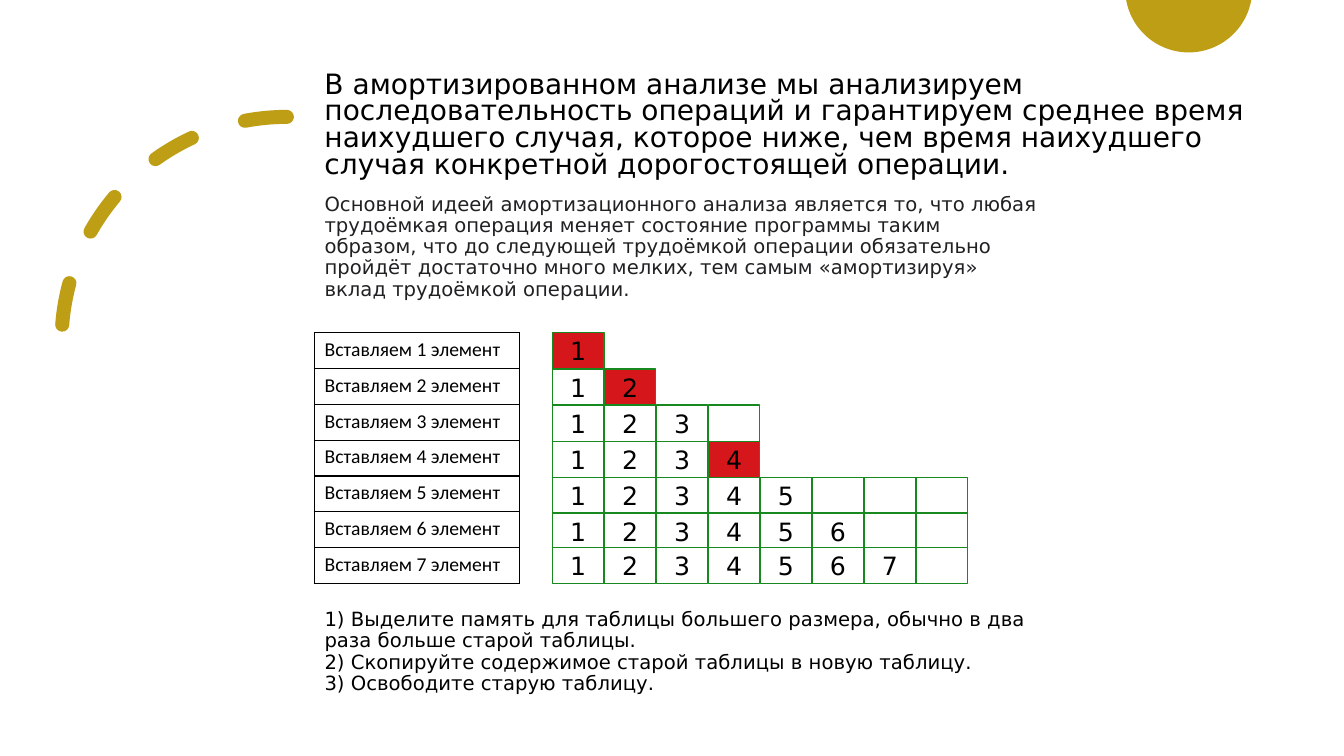
import math

import pptx
import pptx.dml.color
import pptx.enum.dml
import pptx.enum.shapes
import pptx.enum.text
import pptx.oxml
import pptx.oxml.ns
import pptx.util
from pptx.util import Inches

# Content
TITLE = ["В амортизированном анализе мы анализируем последовательность операций "
         "и гарантируем среднее время наихудшего случая, которое ниже, чем время "
         "наихудшего случая конкретной дорогостоящей операции."]
IDEA = ["Основной идеей амортизационного анализа является то, что любая трудоёмкая "
        "операция меняет состояние программы таким образом, что до следующей "
        "трудоёмкой операции обязательно пройдёт достаточно много мелких, тем самым "
        "«амортизируя» вклад трудоёмкой операции."]
STEPS = ["1) Выделите память для таблицы большего размера, обычно в два раза больше "
         "старой таблицы.",
         "2) Скопируйте содержимое старой таблицы в новую таблицу.",
         "3) Освободите старую таблицу."]
# Top of the row, capacity of the array, whether the last inserted element is costly
INSERTIONS = [
    (3.30, 1, True),
    (3.66, 2, True),
    (4.02, 4, False),
    (4.38, 4, True),
    (4.74, 8, False),
    (5.09, 8, False),
    (5.43, 8, False),
]

THEME = {
    "gold": "BE9E15", "black": "000000", "gray": "202122", "white": "FFFFFF",
    "red": "D5171B", "green": "18891F",
    "text font": "DejaVu Sans", "table font": "Calibri",
    "title size": 20, "body size": 14, "digit size": 18,
}

# Layout in inches
TEXT_LEFT, BODY_WIDTH, BODY_HEIGHT = 3.12, 7.28, 0.91
TABLE_WIDTH, TABLE_HEIGHT = 2.03, 2.49
ARRAY_LEFT, CELL_STEP, CELL_WIDTH, CELL_HEIGHT = 5.48, 0.515, 0.51, 0.36
CIRCLE_X, CIRCLE_Y, CIRCLE_RADIUS = 11.79, -0.11, 0.63
ARC_BOX = (0.61, 1.16, 4.47, 4.47)


def color(name):
    return pptx.dml.color.RGBColor.from_string(THEME[name])


def paint(shape, fill, line=None):
    shape.shadow.inherit = False
    shape.fill.solid()
    shape.fill.fore_color.rgb = color(fill)
    if line:
        shape.line.color.rgb = color(line)
        shape.line.width = pptx.util.Pt(1)
    else:
        shape.line.fill.background()


def add_run(paragraph, text, size, color_name="black", font="text font"):
    run = paragraph.add_run()
    run.text = text
    run.font.size = pptx.util.Pt(THEME[size])
    run.font.name = THEME[font]
    run.font.color.rgb = color(color_name)


def add_text(slide, box, lines, size, spacing, color_name="black"):
    frame = slide.shapes.add_textbox(*map(Inches, box)).text_frame
    frame.word_wrap = True
    paragraph = frame.paragraphs[0]
    paragraph.line_spacing = spacing
    paragraph.space_before = pptx.util.Pt(10)
    for index, line in enumerate(lines):
        if index:
            paragraph.add_line_break()
        add_run(paragraph, line, size, color_name)


def add_decoration(slide):
    # Circle cut off by the top edge of the slide
    start = math.asin(-CIRCLE_Y / CIRCLE_RADIUS)
    angles = [start + (math.pi - 2 * start) * step / 60 for step in range(61)]
    points = [(Inches(CIRCLE_X + CIRCLE_RADIUS * math.cos(angle)),
               Inches(CIRCLE_Y + CIRCLE_RADIUS * math.sin(angle))) for angle in angles]
    builder = slide.shapes.build_freeform(*points[0])
    builder.add_line_segments(points[1:], close=True)
    paint(builder.convert_to_shape(), "gold")

    # Dashed arc with round ends
    arc = slide.shapes.add_shape(pptx.enum.shapes.MSO_SHAPE.ARC, *map(Inches, ARC_BOX))
    arc.shadow.inherit = False
    arc.rotation = 180
    arc.element.spPr.xfrm.set("flipV", "1")
    arc.fill.background()
    arc.line.color.rgb = color("gold")
    arc.line.width = pptx.util.Pt(10)
    arc.line.dash_style = pptx.enum.dml.MSO_LINE.DASH
    arc.element.spPr.get_or_add_ln().set("cap", "rnd")


def add_borders(cell):
    properties = cell._tc.get_or_add_tcPr()
    for position, side in enumerate(("lnL", "lnR", "lnT", "lnB")):
        properties.insert(position, pptx.oxml.parse_xml(
            f'<a:{side} {pptx.oxml.ns.nsdecls("a")} w="12700"><a:solidFill>'
            f'<a:srgbClr val="{THEME["black"]}"/></a:solidFill></a:{side}>'))


def add_label_table(slide):
    count = len(INSERTIONS)
    table = slide.shapes.add_table(
        count, 1, Inches(TEXT_LEFT), Inches(INSERTIONS[0][0]),
        Inches(TABLE_WIDTH), Inches(TABLE_HEIGHT)).table
    table.first_row = table.horz_banding = False
    for row in range(count):
        cell = table.cell(row, 0)
        cell.fill.solid()
        cell.fill.fore_color.rgb = color("white")
        add_borders(cell)
        add_run(cell.text_frame.paragraphs[0], f"Вставляем {row + 1} элемент",
                "body size", font="table font")


def add_array_cell(slide, column, top, digit, fill):
    left = ARRAY_LEFT + column * CELL_STEP
    shape = slide.shapes.add_shape(
        pptx.enum.shapes.MSO_SHAPE.RECTANGLE,
        *map(Inches, (left, top, CELL_WIDTH, CELL_HEIGHT)))
    paint(shape, fill, "green")
    if digit:
        shape.text_frame.vertical_anchor = pptx.enum.text.MSO_ANCHOR.MIDDLE
        paragraph = shape.text_frame.paragraphs[0]
        paragraph.alignment = pptx.enum.text.PP_ALIGN.CENTER
        add_run(paragraph, digit, "digit size")


def add_arrays(slide):
    for filled, (top, capacity, costly) in enumerate(INSERTIONS, start=1):
        for column in range(capacity):
            number = column + 1
            digit = str(number) if number <= filled else ""
            fill = "red" if costly and number == filled else "white"
            add_array_cell(slide, column, top, digit, fill)


def main():
    presentation = pptx.Presentation()
    presentation.slide_width = Inches(13.33)
    presentation.slide_height = Inches(7.5)
    slide = presentation.slides.add_slide(presentation.slide_layouts[6])

    add_decoration(slide)
    add_text(slide, (TEXT_LEFT, 0.67, 9.64, 1.25), TITLE, "title size", 0.8)
    add_text(slide, (TEXT_LEFT, 1.88, BODY_WIDTH, BODY_HEIGHT), IDEA, "body size", 0.9, "gray")
    add_label_table(slide)
    add_arrays(slide)
    add_text(slide, (TEXT_LEFT, 6, BODY_WIDTH, BODY_HEIGHT), STEPS, "body size", 0.9)
    presentation.save("out.pptx")


if __name__ == "__main__":
    main()
